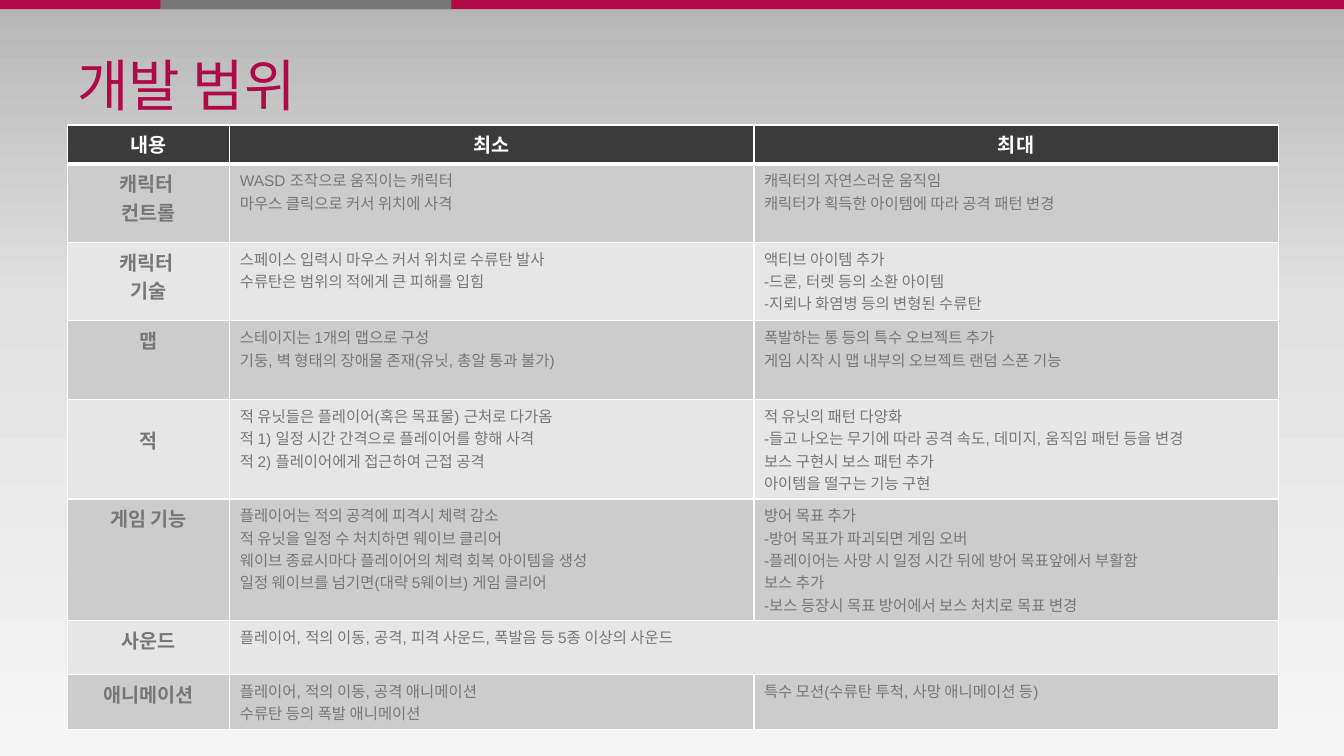
from copy import deepcopy
from dataclasses import dataclass

from lxml import etree
from pptx import Presentation
from pptx.dml.color import RGBColor
from pptx.enum import shapes, text
from pptx.oxml.ns import qn
from pptx.util import Cm, Pt


@dataclass(frozen=True)
class Theme:
    """Colours, fonts and type sizes of the slide."""
    red: str = "AF0948"
    gray: str = "777777"
    dark: str = "3B3B3B"
    white: str = "FFFFFF"
    bands: tuple = ("CCCCCC", "E6E6E6")
    fade: tuple = ((0, "B6B6B6"), (0.4, "E1E1E1"), (1, "F5F5F5"))
    head: str = "Lato"
    body: str = "Arial"
    big: int = 40
    mid: int = 14
    small: int = 11


T = Theme()
WIDE = 33.87
COLS = (4.09, 13.21, 13.21)
HIGHS = (0.97, 1.98, 1.98, 1.98, 2.21, 2.79, 1.35, 1.35)
ROWS = (
    ("내용", "최소", "최대"),
    ("캐릭터 \n컨트롤",
     "WASD 조작으로 움직이는 캐릭터\n마우스 클릭으로 커서 위치에 사격",
     "캐릭터의 자연스러운 움직임\n캐릭터가 획득한 아이템에 따라 공격 패턴 변경"),
    ("캐릭터 \n기술",
     "스페이스 입력시 마우스 커서 위치로 수류탄 발사\n수류탄은 범위의 적에게 큰 피해를 입힘",
     "액티브 아이템 추가\n-드론, 터렛 등의 소환 아이템\n-지뢰나 화염병 등의 변형된 수류탄"),
    ("맵",
     "스테이지는 1개의 맵으로 구성\n기둥, 벽 형태의 장애물 존재(유닛, 총알 통과 불가)",
     "폭발하는 통 등의 특수 오브젝트 추가\n게임 시작 시 맵 내부의 오브젝트 랜덤 스폰 기능"),
    ("적",
     "적 유닛들은 플레이어(혹은 목표물) 근처로 다가옴\n"
     "적 1) 일정 시간 간격으로 플레이어를 향해 사격\n"
     "적 2) 플레이어에게 접근하여 근접 공격",
     "적 유닛의 패턴 다양화\n"
     "-들고 나오는 무기에 따라 공격 속도, 데미지, 움직임 패턴 등을 변경\n"
     "보스 구현시 보스 패턴 추가\n아이템을 떨구는 기능 구현"),
    ("게임 기능",
     "플레이어는 적의 공격에 피격시 체력 감소\n"
     "적 유닛을 일정 수 처치하면 웨이브 클리어\n"
     "웨이브 종료시마다 플레이어의 체력 회복 아이템을 생성\n"
     "일정 웨이브를 넘기면(대략 5웨이브) 게임 클리어",
     "방어 목표 추가\n-방어 목표가 파괴되면 게임 오버\n"
     "-플레이어는 사망 시 일정 시간 뒤에 방어 목표앞에서 부활함\n"
     "보스 추가\n-보스 등장시 목표 방어에서 보스 처치로 목표 변경"),
    ("사운드",
     "플레이어, 적의 이동, 공격, 피격 사운드, 폭발음 등 5종 이상의 사운드", ""),
    ("애니메이션",
     "플레이어, 적의 이동, 공격 애니메이션\n수류탄 등의 폭발 애니메이션",
     "특수 모션(수류탄 투척, 사망 애니메이션 등)"),
)


def style(frame, font, size, color, bold=False, align=text.PP_ALIGN.LEFT):
    """Format every run of a text frame."""
    for para in frame.paragraphs:
        para.alignment = align
        for run in para.runs:
            run.font.name = font
            run.font.size = Pt(size)
            run.font.bold = bold
            run.font.color.rgb = RGBColor.from_string(color)


def shade(slide):
    """Fill the background with a three-stop vertical gradient."""
    fill = slide.background.fill
    fill.gradient()
    fill.gradient_angle = 270
    stops = next(slide.element.iter(qn("a:gsLst")))
    stops.append(deepcopy(stops[-1]))
    for stop, (place, color) in zip(fill.gradient_stops, T.fade):
        stop.position = place
        stop.color.rgb = RGBColor.from_string(color)


def bar(slide, left, width, color):
    """Draw a strip along the top edge."""
    strip = slide.shapes.add_shape(
        shapes.MSO_SHAPE.RECTANGLE, Cm(left), Cm(0), Cm(width), Cm(0.23))
    strip.shadow.inherit = False
    strip.fill.solid()
    strip.fill.fore_color.rgb = RGBColor.from_string(color)
    strip.line.fill.background()


def title(slide, words):
    """Place and format the title."""
    box = slide.shapes.title
    box.left, box.top, box.width, box.height = Cm(1.7), Cm(0.84), Cm(30.48), Cm(2.57)
    frame = box.text_frame
    frame.text = words
    frame.vertical_anchor = text.MSO_ANCHOR.MIDDLE
    style(frame, T.head, T.big, T.red)


def edge(cell, top, base):
    """Give a cell white borders with the given top and base widths."""
    props = cell._tc.get_or_add_tcPr()
    for side, width in zip("LRTB", (1, 1, top, base)):
        line = etree.SubElement(props, qn(f"a:ln{side}"), w=str(Pt(width)))
        fill = etree.SubElement(line, qn("a:solidFill"))
        etree.SubElement(fill, qn("a:srgbClr"), val=T.white)


def paint(cell, row, col, words):
    """Write and format one cell by its place in the grid."""
    head, key = row == 0, col == 0
    edge(cell, 3 if row == 1 else 1, 3 if head else 1)
    cell.fill.solid()
    cell.fill.fore_color.rgb = RGBColor.from_string(
        T.dark if head else T.bands[(row - 1) % 2])
    cell.text_frame.text = words
    strong = head or key
    style(cell.text_frame, T.body, T.mid if strong else T.small,
          T.white if head else T.gray, strong,
          text.PP_ALIGN.CENTER if strong else text.PP_ALIGN.LEFT)


def grid(slide):
    """Build the scope table."""
    table = slide.shapes.add_table(
        len(ROWS), len(COLS), Cm(1.7), Cm(3.15), Cm(sum(COLS)), Cm(sum(HIGHS))).table
    table.first_row = table.horz_banding = False
    for col, width in zip(table.columns, COLS):
        col.width = Cm(width)
    for row, high in zip(table.rows, HIGHS):
        row.height = Cm(high)
    for r, row in enumerate(ROWS):
        for c, words in enumerate(row):
            paint(table.cell(r, c), r, c, words)
    table.cell(4, 0).margin_top = Cm(0.67)
    table.cell(6, 1).merge(table.cell(6, 2))


def main():
    """Build and save the slide."""
    deck = Presentation()
    deck.slide_width, deck.slide_height = Cm(WIDE), Cm(19.05)
    slide = deck.slides.add_slide(deck.slide_layouts[5])
    shade(slide)
    bar(slide, 0, WIDE, T.red)
    bar(slide, 4.04, 7.34, T.gray)
    title(slide, "개발 범위")
    grid(slide)
    deck.save("out.pptx")


if __name__ == "__main__":
    main()
